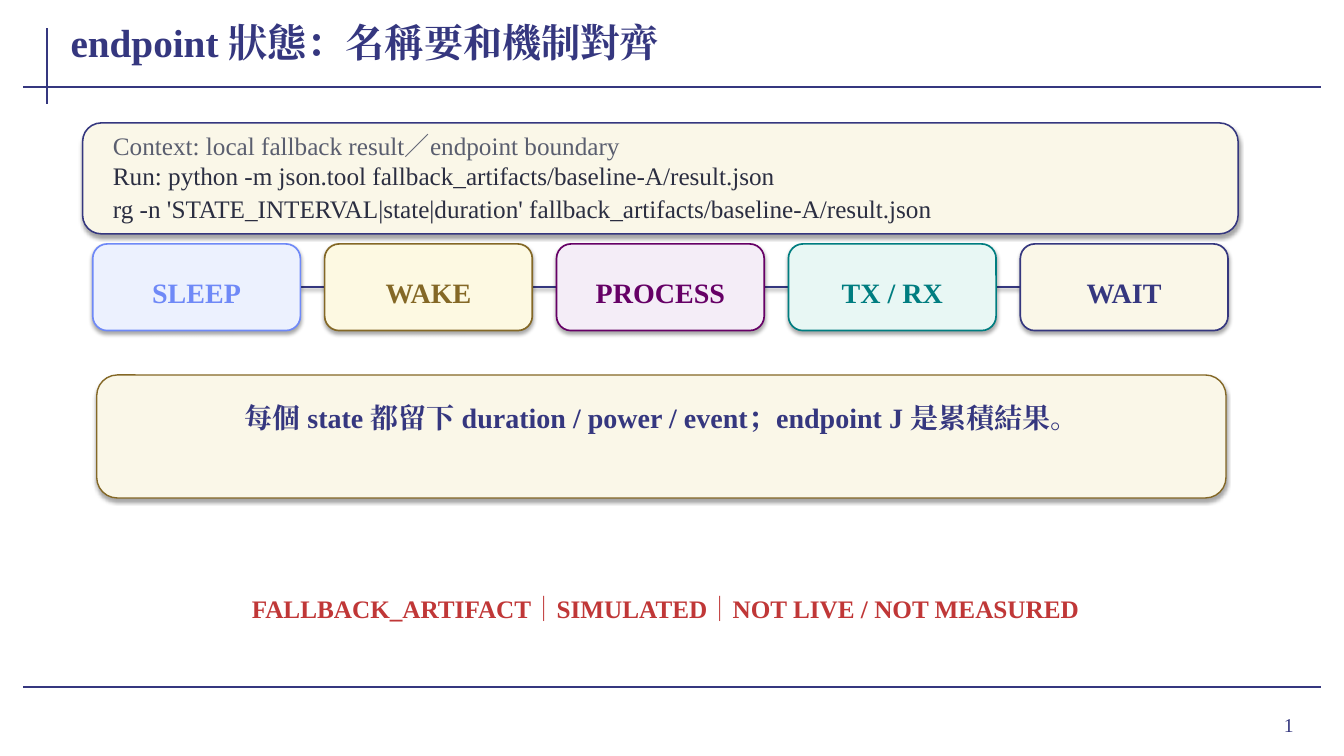
"""Build the endpoint state slide: context card, five-state chain, summary and status line."""
from lxml import etree
from pptx import Presentation
from pptx.dml.color import RGBColor
from pptx.enum.shapes import MSO_CONNECTOR, MSO_SHAPE
from pptx.enum.text import MSO_ANCHOR, MSO_AUTO_SIZE, PP_ALIGN
from pptx.oxml.ns import qn
from pptx.util import Inches, Pt

LEFT, CENTER, RIGHT = PP_ALIGN.LEFT, PP_ALIGN.CENTER, PP_ALIGN.RIGHT
TOP, MIDDLE = MSO_ANCHOR.TOP, MSO_ANCHOR.MIDDLE
GROW, FIXED = MSO_AUTO_SIZE.SHAPE_TO_FIT_TEXT, MSO_AUTO_SIZE.NONE
ROUNDED, STRAIGHT = MSO_SHAPE.ROUNDED_RECTANGLE, MSO_CONNECTOR.STRAIGHT

THEME = {
    "font": "Times New Roman",
    "navy": "35377F", "cream": "FAF7E8", "gold": "846826",
    "grey": "5A5E6F", "ink": "2B2E41", "red": "C03737",
    "title": 28, "label": 20, "body": 18, "number": 14,
}
NAVY, CREAM, GOLD = THEME["navy"], THEME["cream"], THEME["gold"]
STATES = [
    ("SLEEP", "ECF1FE", "6F89F7"),
    ("WAKE", "FDF9E2", GOLD),
    ("PROCESS", "F4EDF7", "660066"),
    ("TX / RX", "E8F7F4", "007D80"),
    ("WAIT", CREAM, NAVY),
]
STATE_X, STATE_Y, STATE_W, STATE_H, PITCH = 0.92, 2.42, 2.06, 0.86, 2.3
LINK_Y, LINK_W = STATE_Y + STATE_H / 2, 0.3


def set_shadow(sp, alpha=0, dist=0):
    """Give a shape a soft downward shadow, or none when alpha is zero."""
    effects = etree.SubElement(sp._element.spPr, qn("a:effectLst"))
    if alpha:
        shadow = etree.SubElement(effects, qn("a:outerShdw"), blurRad=str(Pt(3.1)),
                                  dist=str(Pt(dist)), dir="5400000", rotWithShape="0")
        color = etree.SubElement(shadow, qn("a:srgbClr"), val="000000")
        etree.SubElement(color, qn("a:alpha"), val=str(alpha * 1000))


def write(box, text, size, color, align=LEFT, bold=False, fit=GROW, anchor=TOP):
    """Place a wrapped text box with one style throughout."""
    tf = s.shapes.add_textbox(*map(Inches, box)).text_frame
    tf.word_wrap, tf.auto_size, tf.vertical_anchor = True, fit, anchor
    if anchor == TOP:
        tf.margin_left = tf.margin_right = Inches(0.08)
        tf.margin_top, tf.margin_bottom = Inches(0.03), Inches(0.02)
    tf.text = text
    for p in tf.paragraphs:
        p.alignment = align
        p.space_after = Pt(2 if anchor == TOP else 0)
        for r in p.runs:
            r.font.name, r.font.size, r.font.bold = THEME["font"], Pt(THEME[size]), bold
            r.font.color.rgb = RGBColor.from_string(color)
            etree.SubElement(r.font._element, qn("a:ea"), typeface=THEME["font"])


prs = Presentation()
prs.slide_width, prs.slide_height = Inches(13.33), Inches(7.5)
s = prs.slides.add_slide(prs.slide_layouts[6])

lines = [
    (0.47, 0.28, 0.47, 1.03, 1.5, 0),
    (0.23, 0.86, 13.1, 0.86, 1.5, 0),
    (0.23, 6.82, 13.1, 6.82, 1.5, 0),
]
for i in range(len(STATES) - 1):
    x = STATE_X + i * PITCH + STATE_W
    lines.append((x, LINK_Y, x + LINK_W, LINK_Y, 1.6, 38))
for *ends, width, alpha in lines:
    line = s.shapes.add_connector(STRAIGHT, *map(Inches, ends))
    line.line.color.rgb = RGBColor.from_string(NAVY)
    line.line.width = Pt(width)
    set_shadow(line, alpha, 1.6)

cards = [
    ((0.82, 1.22, 11.46, 1.1), CREAM, NAVY, 1.1),
    ((0.96, 3.72, 11.2, 1.22), CREAM, GOLD, 1),
]
for i, (name, fill, color) in enumerate(STATES):
    cards.append(((STATE_X + i * PITCH, STATE_Y, STATE_W, STATE_H), fill, color, 1.2))
for box, fill, color, width in cards:
    sp = s.shapes.add_shape(ROUNDED, *map(Inches, box))
    sp.fill.solid()
    sp.fill.fore_color.rgb = RGBColor.from_string(fill)
    sp.line.color.rgb = RGBColor.from_string(color)
    sp.line.width = Pt(width)
    set_shadow(sp, 35, 1.8)

write((0.62, 0.15, 12.49, 0.62), "endpoint 狀態：名稱要和機制對齊", "title", NAVY,
      bold=True, fit=FIXED)
write((1.04, 1.26, 10.98, 0.26), "Context: local fallback result／endpoint boundary",
      "body", THEME["grey"])
write((1.04, 1.56, 10.98, 0.72),
      "Run: python -m json.tool fallback_artifacts/baseline-A/result.json\n"
      "rg -n 'STATE_INTERVAL|state|duration' fallback_artifacts/baseline-A/result.json",
      "body", THEME["ink"])
for i, (name, fill, color) in enumerate(STATES):
    write((STATE_X + i * PITCH + 0.1, 2.7, STATE_W - 0.2, 0.24), name, "label", color,
          CENTER, True)
write((1.2, 3.94, 10.72, 0.82),
      "每個 state 都留下 duration / power / event；endpoint J 是累積結果。",
      "label", NAVY, CENTER, True)
write((0.92, 5.86, 11.36, 0.3), "FALLBACK_ARTIFACT｜SIMULATED｜NOT LIVE / NOT MEASURED",
      "body", THEME["red"], CENTER, True)
write((11.96, 6.93, 0.97, 0.52), "1", "number", NAVY, RIGHT, fit=FIXED, anchor=MIDDLE)

prs.save("out.pptx")
